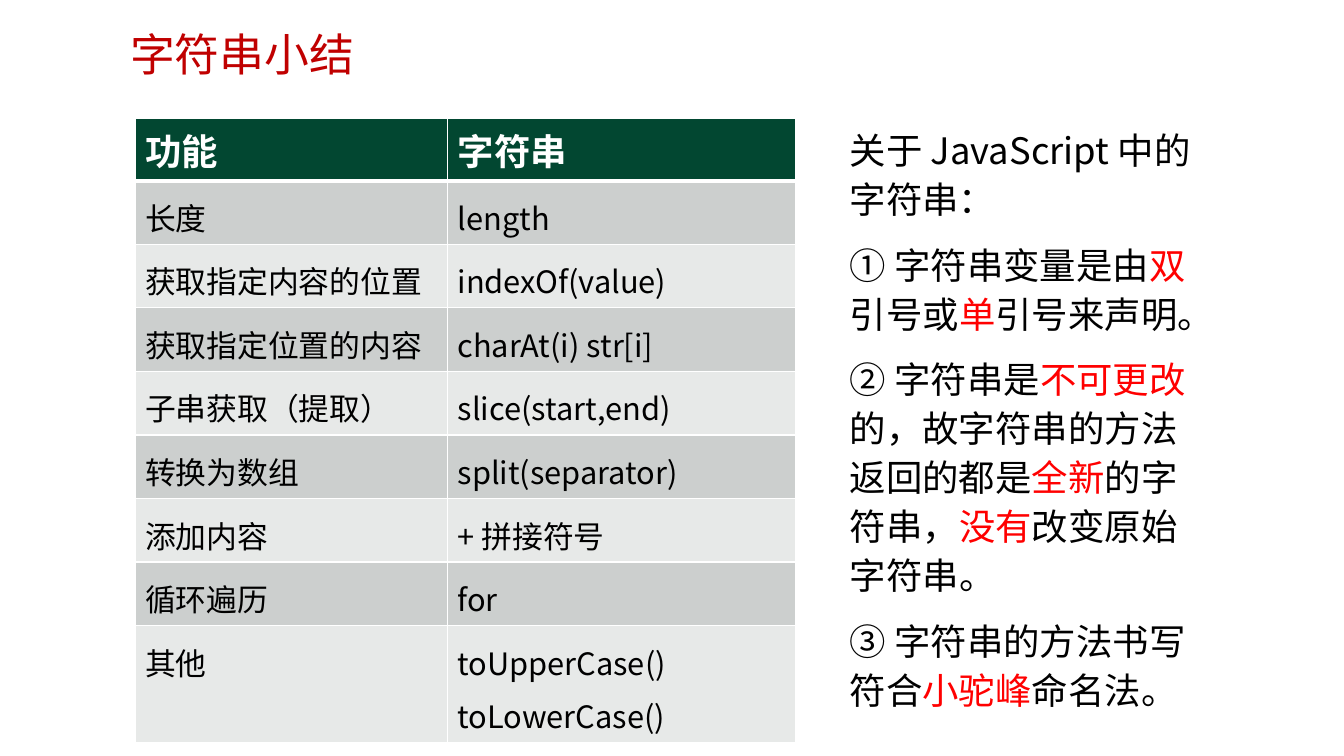
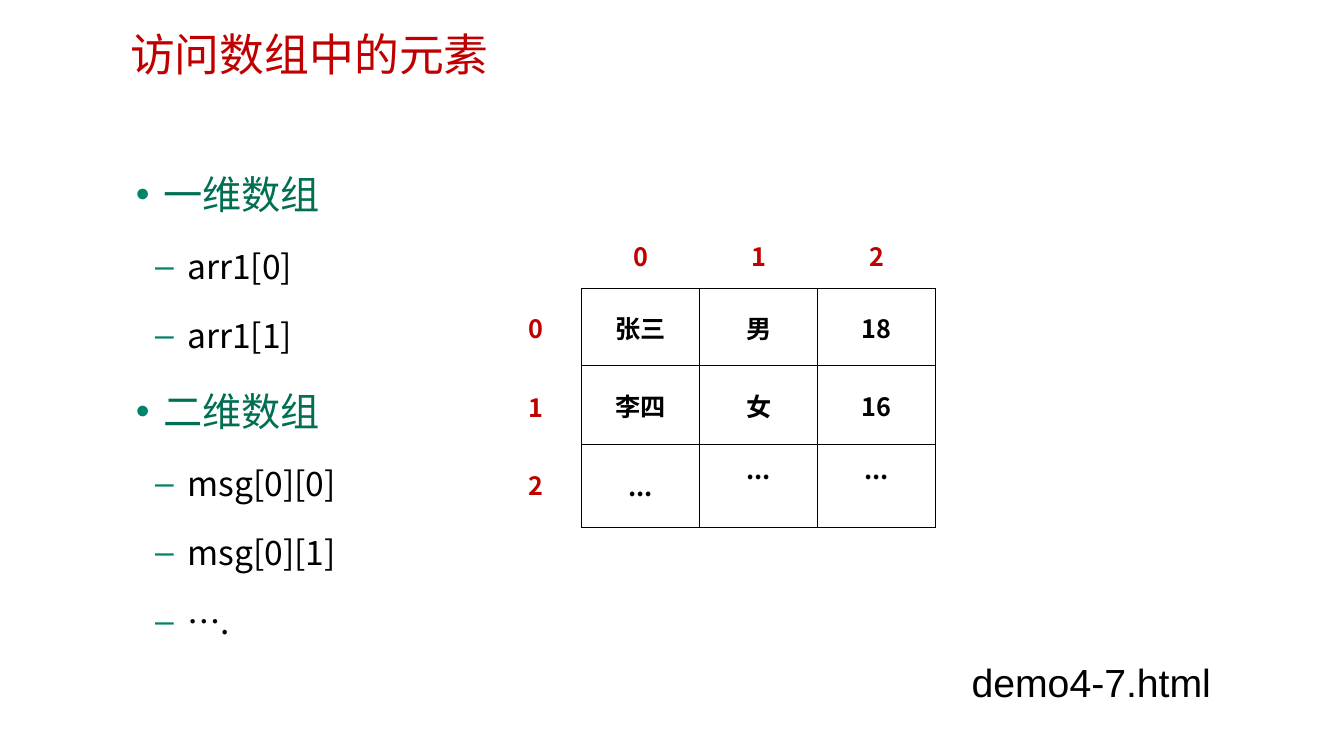
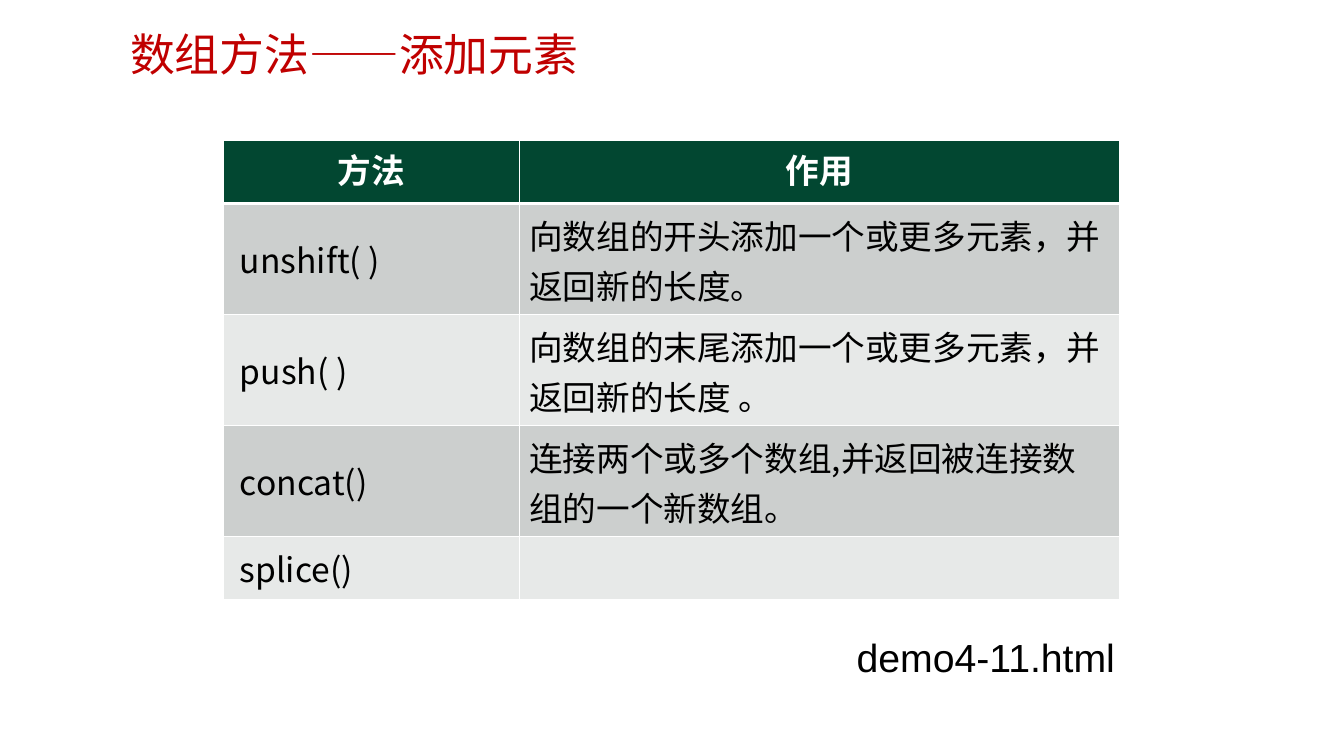
from dataclasses import dataclass, replace
from typing import NamedTuple

from pptx import Presentation
from pptx.dml.color import RGBColor
from pptx.enum.shapes import MSO_SHAPE as Shape
from pptx.enum.text import MSO_ANCHOR as Anchor, MSO_AUTO_SIZE as Fit, PP_ALIGN as Align
from pptx.oxml.ns import qn
from pptx.util import Inches, Pt
from lxml.etree import SubElement

BLACK = RGBColor(0x00, 0x00, 0x00)
WHITE = RGBColor(0xFF, 0xFF, 0xFF)
CRIMSON = RGBColor(0xC0, 0x00, 0x00)
RED = RGBColor(0xFF, 0x00, 0x00)
FOREST = RGBColor(0x02, 0x47, 0x31)
GREEN = RGBColor(0x00, 0x6F, 0x53)
BULLET = RGBColor(0x00, 0x84, 0x69)
DARK_BAND = RGBColor(0xCC, 0xCF, 0xCE)
LIGHT_BAND = RGBColor(0xE7, 0xE9, 0xE8)
SANS, CABIN, ARIAL = "Noto Sans CJK SC", "Cabin", "Arial"


class Span(NamedTuple):
    """A piece of text with its colour and font."""
    text: str
    color: RGBColor = BLACK
    font: str = SANS


@dataclass(frozen=True)
class Look:
    """The style of one table cell."""
    size: int
    color: RGBColor = BLACK
    bold: bool = False
    font: str = SANS
    fill: RGBColor = None
    border: RGBColor = WHITE
    base: int = 1
    align: Align = Align.LEFT
    anchor: Anchor = Anchor.TOP
    spacing: object = None


class Lesson:
    """Holds the deck, its style and the current page; lengths are percent of the slide."""

    def __init__(self):
        self.deck = Presentation()
        self.deck.slide_width, self.deck.slide_height = Inches(13.33), Inches(7.5)
        self.page = None

    def across(self, share):
        """Turn a percentage of the slide width into a length."""
        return round(self.deck.slide_width * share / 100)

    def down(self, share):
        """Turn a percentage of the slide height into a length."""
        return round(self.deck.slide_height * share / 100)

    def place(self, left, top, width, height):
        """Return the four lengths of a box."""
        return self.across(left), self.down(top), self.across(width), self.down(height)

    def style_run(self, run, size, color, font, bold=False):
        """Format one run."""
        run.font.size, run.font.bold, run.font.name = Pt(size), bold, font
        run.font.color.rgb = color
        SubElement(run.font._element, qn("a:ea"), typeface=font)

    def style(self, para, size, color=BLACK, font=SANS, bold=False):
        """Format every run of a paragraph."""
        for run in para.runs:
            self.style_run(run, size, color, font, bold)

    def start(self, title):
        """Add a page and format its title."""
        self.page = self.deck.slides.add_slide(self.deck.slide_layouts[5])
        box = self.page.shapes.title
        box.left, box.top, box.width, box.height = self.place(8.93, 3.47, 67.2, 7.2)
        frame = box.text_frame
        frame.text = title
        frame.auto_size, frame.vertical_anchor = Fit.NONE, Anchor.MIDDLE
        para = frame.paragraphs[0]
        para.alignment = Align.LEFT
        self.style(para, 32, CRIMSON)

    def caption(self, left, top, text):
        """Add the name of a demo file."""
        box = self.page.shapes.add_textbox(*self.place(left, top, 25.43, 7.6))
        box.text_frame.word_wrap = True
        box.text_frame.text = text
        self.style(box.text_frame.paragraphs[0], 28, font=ARIAL)

    def panel(self, at, paragraphs):
        """Add a white panel with paragraphs of coloured spans."""
        box = self.page.shapes.add_shape(Shape.RECTANGLE, *self.place(*at))
        box.shadow.inherit = False
        box.fill.solid()
        box.fill.fore_color.rgb = WHITE
        box.line.fill.background()
        frame = box.text_frame
        frame.word_wrap, frame.auto_size = True, Fit.SHAPE_TO_FIT_TEXT
        frame.vertical_anchor = Anchor.MIDDLE
        for index, spans in enumerate(paragraphs):
            para = frame.add_paragraph() if index else frame.paragraphs[0]
            para.alignment, para.line_spacing = Align.LEFT, Pt(35)
            para.space_before = para.space_after = Pt(6)
            for span in spans:
                run = para.add_run()
                run.text = span.text
                self.style_run(run, 26, span.color, span.font)

    def outline(self, at, entries):
        """Add a two-level bulleted list of (level, text) entries."""
        levels = [(28, GREEN, "•", 0.27, 0.27), (24, BLACK, "–", 0.51, 0.32)]
        frame = self.page.shapes.add_textbox(*self.place(*at)).text_frame
        frame.word_wrap, frame.auto_size = True, Fit.TEXT_TO_FIT_SHAPE
        frame.text = "\n".join(text for _, text in entries)
        for para, (level, _) in zip(frame.paragraphs, entries):
            size, color, mark, margin, hang = levels[level]
            para.level, para.line_spacing, para.space_after = level, 1.5, Pt(6)
            self.style(para, size, color)
            props = para._p.get_or_add_pPr()
            props.set("marL", str(Inches(margin)))
            props.set("indent", str(-Inches(hang)))
            SubElement(SubElement(props, qn("a:buClr")), qn("a:srgbClr"), val=str(BULLET))
            SubElement(props, qn("a:buFont"), typeface=ARIAL)
            SubElement(props, qn("a:buChar"), char=mark)

    def cell(self, cell, text, look):
        """Write and format one table cell."""
        props = cell._tc.get_or_add_tcPr()
        for side, width in (("L", 1), ("R", 1), ("T", 1), ("B", look.base)):
            line = SubElement(props, qn(f"a:ln{side}"), w=str(Pt(width)))
            SubElement(SubElement(line, qn("a:solidFill")), qn("a:srgbClr"), val=str(look.border))
        if look.fill is None:
            cell.fill.background()
        else:
            cell.fill.solid()
            cell.fill.fore_color.rgb = look.fill
        cell.vertical_anchor = look.anchor
        cell.text_frame.text = text
        for para in cell.text_frame.paragraphs:
            para.alignment = look.align
            if look.spacing:
                para.line_spacing = look.spacing
            self.style(para, look.size, look.color, look.font, look.bold)

    def table(self, left, top, widths, heights, texts, look_at):
        """Add a table whose cell looks come from look_at(row, column)."""
        at = self.place(left, top, sum(widths), sum(heights))
        table = self.page.shapes.add_table(len(heights), len(widths), *at).table
        table.first_row = table.horz_banding = False
        for column, width in zip(table.columns, widths):
            column.width = self.across(width)
        for row, height in zip(table.rows, heights):
            row.height = self.down(height)
        for r, row in enumerate(texts):
            for c, text in enumerate(row):
                self.cell(table.cell(r, c), text, look_at(r, c))
        return table


def banded(head, *columns):
    """Return a rule for a header row over alternating bands."""
    def look_at(row, column):
        if row == 0:
            return replace(head, color=WHITE, bold=True, fill=FOREST, base=3)
        return replace(columns[column], fill=DARK_BAND if row % 2 else LIGHT_BAND)
    return look_at


lesson = Lesson()

lesson.start("字符串小结")
entry = Look(22, spacing=1.2)
lesson.table(
    10.05, 15.6, [23.25, 25.88], [7.07] + [5.6] * 4 + [7.2] + [5.6] * 2 + [11.07],
    [("功能", "字符串"),
     ("长度", "length"),
     ("获取指定内容的位置", "indexOf(value)"),
     ("获取指定位置的内容", "charAt(i) str[i]"),
     ("子串获取（提取）", "slice(start,end)"),
     ("转换为数组", "split(separator)"),
     ("添加内容", "+ 拼接符号"),
     ("循环遍历", "for"),
     ("其他", "toUpperCase()\ntoLowerCase()")],
    banded(Look(26), entry, entry))
lesson.panel((62.48, 15.2, 27.75, 80), [
    [Span("关于 JavaScript 中的字符串：")],
    [Span("① "), Span("字符串变量是由", font=CABIN), Span("双", RED, CABIN),
     Span("引号或", font=CABIN), Span("单", RED, CABIN), Span("引号来声明。", font=CABIN)],
    [Span("② 字符串是"), Span("不可更改", RED), Span("的，故字符串的方法返回的都是"),
     Span("全新", RED), Span("的字符串，"), Span("没有", RED, CABIN),
     Span("改变原始字符串", font=CABIN), Span("。")],
    [Span("③ 字符串的方法书写符合"), Span("小驼峰", RED), Span("命名法。")],
])

lesson.start("访问数组中的元素")
lesson.outline((9.38, 18.8, 79.65, 67.73), [
    (0, "一维数组"), (1, "arr1[0]"), (1, "arr1[1]"),
    (0, "二维数组"), (1, "msg[0][0]"), (1, "msg[0][1]"), (1, "…."),
])
value = Look(18, bold=True, border=BLACK, align=Align.CENTER, anchor=Anchor.MIDDLE)
label = replace(value, color=CRIMSON, fill=WHITE, border=WHITE)
people = lesson.table(
    43.28, 38.13, [8.78] * 3, [10.27, 10.4, 10.93],
    [("张三", "男", "18"), ("李四", "女", "16"), ("...",) * 3],
    lambda row, column: value)
for column in (1, 2):
    people.cell(2, column).margin_bottom = Inches(0.4)
lesson.table(43.28, 30.67, [8.78] * 3, [6.53], ["012"],
             lambda row, column: replace(label, anchor=Anchor.TOP))
lesson.table(37.95, 38.13, [3.83], [10.4] * 3, "012", lambda row, column: label)
lesson.caption(71.55, 86.4, "demo4-7.html")

lesson.start("数组方法——添加元素")
lesson.caption(63, 83.07, "demo4-11.html")
method = Look(24, anchor=Anchor.MIDDLE)
methods = lesson.table(
    16.65, 18.53, [21.98, 44.7], [8.4] * 5,
    [("方法", "作用"),
     ("unshift( )", "向数组的开头添加一个或更多元素，并返回新的长度。"),
     ("push( )", "向数组的末尾添加一个或更多元素，并\v返回新的长度 。"),
     ("concat()", "连接两个或多个数组,并返回被连接数组的一个新数组。"),
     ("splice()", "")],
    banded(replace(method, font=CABIN, align=Align.CENTER),
           method, replace(method, spacing=Pt(36))))
for row in range(1, 5):
    methods.cell(row, 0).margin_left = Inches(0.16)

lesson.deck.save("out.pptx")
